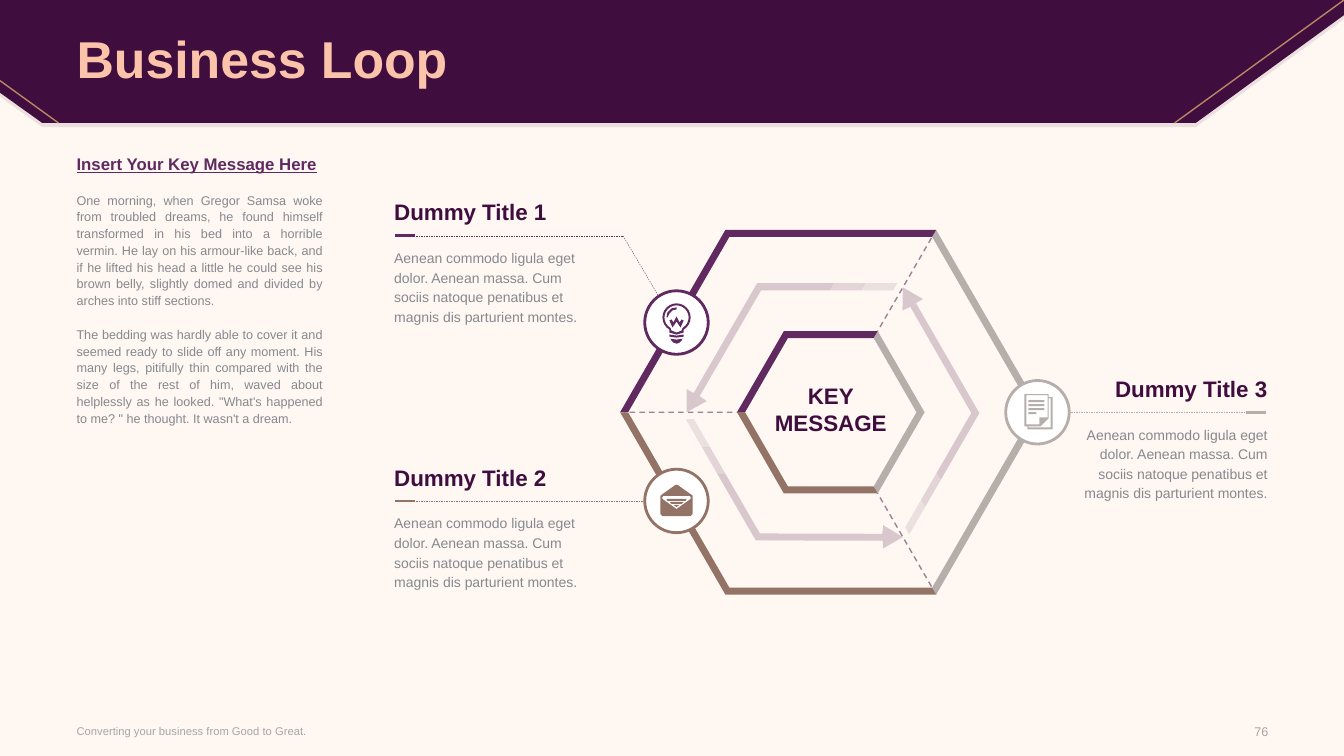
from math import cos, radians, sin
from lxml import etree
from pptx import Presentation
from pptx.dml.color import RGBColor as RGB
from pptx.enum.dml import MSO_LINE as DASH
from pptx.enum.shapes import MSO_CONNECTOR as LINK, MSO_SHAPE as SHAPE
from pptx.enum.text import MSO_ANCHOR as ANCHOR, PP_ALIGN as ALIGN
from pptx.oxml.ns import qn
from pptx.util import Inches, Pt

HUES = {
    "back": "FFF7F2", "dark": "3F0D3E", "plum": "602A60", "brown": "927365",
    "gray": "B6AEAB", "peach": "FBC4AA", "gold": "B98763", "text": "85898F",
    "foot": "A6A6A6", "white": "FFFFFF",
}
HUES = {name: RGB.from_string(code) for name, code in HUES.items()}
FONT = "Arial"
WIDE, HIGH = 13.33, 7.5
EDGE = 0.76
MID_X, MID_Y = 8.24, 4.09

deck = Presentation()
deck.slide_width, deck.slide_height = Inches(WIDE), Inches(HIGH)
slide = deck.slides.add_slide(deck.slide_layouts[5])
slide.background.fill.solid()
slide.background.fill.fore_color.rgb = HUES["back"]
shapes = slide.shapes


def draw(loops, hue, alpha=100):
    """Fill closed outlines, given in inches, as one shape."""
    loops = [[(Inches(x), Inches(y)) for x, y in loop] for loop in loops]
    pen = shapes.build_freeform(*loops[0][0])
    pen.add_line_segments(loops[0][1:])
    for loop in loops[1:]:
        pen.move_to(*loop[0])
        pen.add_line_segments(loop[1:])
    form = pen.convert_to_shape()
    form.shadow.inherit = False
    form.line.fill.background()
    form.fill.solid()
    form.fill.fore_color.rgb = HUES[hue]
    if alpha < 100:
        tint = form._element.spPr.find(".//" + qn("a:srgbClr"))
        etree.SubElement(tint, qn("a:alpha")).set("val", str(alpha * 1000))


def write(box, lines, size, hue, bold=False, align=ALIGN.LEFT, pitch=None,
          anchor=ANCHOR.TOP, gap=0):
    frame = shapes.add_textbox(*map(Inches, box)).text_frame
    frame.word_wrap = True
    frame.vertical_anchor = anchor
    frame.margin_left = frame.margin_right = 0
    frame.margin_top = frame.margin_bottom = 0
    frame.text = "\n".join(lines)
    for para in frame.paragraphs:
        para.alignment = align
        para.space_before = Pt(gap)
        if pitch:
            para.line_spacing = Pt(pitch)
        font = para.font
        font.name, font.size, font.bold = FONT, Pt(size), bold
        font.color.rgb = HUES[hue]
    return frame


# Header
crest = [(0, 0), (WIDE, 0), (WIDE, 0.15), (11.86, 1.22), (0.42, 1.22), (0, 0.92)]
draw([[(x, y + 0.04) for x, y in crest]], "dark", 10)
draw([crest], "dark")

title = shapes.title
title.left, title.top = Inches(EDGE), Inches(0.03)
title.width, title.height = Inches(11.81), Inches(1.17)
frame = title.text_frame
frame.text = "Business Loop"
frame.vertical_anchor = ANCHOR.MIDDLE
frame.margin_left = frame.margin_right = frame.margin_top = frame.margin_bottom = 0
para = frame.paragraphs[0]
para.alignment, para.line_spacing = ALIGN.LEFT, 0.9
para.font.name, para.font.size, para.font.bold = FONT, Pt(37), True
para.font.color.rgb = HUES["peach"]
shapes._spTree.append(title._element)

# Left column and footer
story = [
    "Insert Your Key Message Here",
    "One morning, when Gregor Samsa woke from troubled dreams, he found himself "
    "transformed in his bed into a horrible vermin. He lay on his armour-like back, "
    "and if he lifted his head a little he could see his brown belly, slightly domed "
    "and divided by arches into stiff sections.",
    "The bedding was hardly able to cover it and seemed ready to slide off any "
    "moment. His many legs, pitifully thin compared with the size of the rest of "
    "him, waved about helplessly as he looked. \"What's happened to me? \" he "
    "thought. It wasn't a dream.",
]
frame = write((EDGE, 1.56, 2.44, 5.19), story, 9, "text", align=ALIGN.JUSTIFY,
              pitch=12, gap=12)
head = frame.paragraphs[0]
head.space_before = Pt(0)
head.font.size, head.font.bold, head.font.underline = Pt(12), True, True
head.font.color.rgb = HUES["plum"]
write((EDGE, 7.12, 5.23, 0.26), ["Converting your business from Good to Great."],
      8, "foot", anchor=ANCHOR.MIDDLE)
write((11.95, 7.13, 0.63, 0.26), ["76"], 9, "foot", align=ALIGN.RIGHT,
      anchor=ANCHOR.MIDDLE)

# Corners of nested hexagons: radius -> six points, counted from the right
hexes = {
    r: [(MID_X + r * cos(radians(60 * k)), MID_Y - r * sin(radians(60 * k)))
        for k in range(6)]
    for r in (0.85, 0.88, 0.93, 2.01, 2.05, 2.09)
}

# Lines: start, end, hue, width, dash, opacity
lines = [
    ((WIDE, 0), (11.65, 1.22), "gold", 1, None, 100),
    ((0.58, 1.22), (0, 0.8), "gold", 1, None, 100),
    ((4.08, 4.97), (6.71, 4.97), "brown", 0.25, DASH.DASH, 100),
    ((4.08, 2.34), (6.18, 2.34), "plum", 0.25, DASH.DASH, 100),
    ((6.18, 2.34), (6.68, 3.19), "plum", 0.25, DASH.DASH, 100),
    ((12.4, MID_Y), (10.31, MID_Y), "gray", 0.25, DASH.DASH, 100),
    ((4.12, 2.34), (3.92, 2.34), "plum", 2, None, 100),
    ((4.12, 4.97), (3.92, 4.97), "brown", 2, None, 100),
    ((12.36, MID_Y), (12.56, MID_Y), "gray", 2, None, 100),
]
lines += [(hexes[0.88][k], hexes[2.05][k], "dark", 1, DASH.DASH, 50) for k in (1, 3, 5)]
for start, end, hue, width, dash, alpha in lines:
    link = shapes.add_connector(LINK.STRAIGHT, *map(Inches, start + end))
    link.line.color.rgb = HUES[hue]
    link.line.width = Pt(width)
    if dash:
        link.line.dash_style = dash
    props = link._element.spPr
    if alpha < 100:
        tint = props.find(".//" + qn("a:srgbClr"))
        etree.SubElement(tint, qn("a:alpha")).set("val", str(alpha * 1000))
    etree.SubElement(props, qn("a:effectLst"))

# Each hue spans two sides of both hexagon rings
for first, hue in ((5, "gray"), (1, "plum"), (3, "brown")):
    turn = [(first + k) % 6 for k in range(3)]
    for outer, inner in ((2.09, 2.01), (0.93, 0.85)):
        draw([[hexes[outer][k] for k in turn] + [hexes[inner][k] for k in turn[::-1]]],
             hue)

# One fading arrow, as offsets from the middle with y upward, turned three times
arrow = {
    20: [(-0.01, 1.21), (-0.69, 1.21), (-1.3, 0.16), (-1.23, 0.11), (-1.43, 0),
         (-1.43, 0.23), (-1.36, 0.19), (-0.73, 1.28), (0.03, 1.28)],
    15: [(0.34, 1.28), (0.3, 1.21), (-0.01, 1.21), (0.03, 1.28)],
    10: [(0.66, 1.28), (0.62, 1.21), (0.3, 1.21), (0.34, 1.28)],
}
for angle in (0, 120, 240):
    c, s = cos(radians(angle)), sin(radians(angle))
    for alpha, pts in arrow.items():
        draw([[(MID_X + x * c - y * s, MID_Y - x * s - y * c) for x, y in pts]],
             "dark", alpha)

write((7.49, 3.79, 1.5, 0.54), ["KEY", "MESSAGE"], 16, "dark", True, ALIGN.CENTER)

# Icons, as offsets from the badge middle with y downward
bulb = [
    [(r * cos(radians(a)), r * sin(radians(a)) - 0.05) for a in range(60, -241, -15)]
    + [(-x, y), (0, y + 0.02), (x, y)]
    for r, x, y in ((0.14, 0.07, 0.1), (0.12, 0.05, 0.08))
] + [
    [(0.03, 0), (0, -0.06), (-0.03, 0), (-0.05, -0.03), (-0.07, -0.02),
     (-0.04, 0.05), (0, -0.01), (0.04, 0.05), (0.07, -0.02), (0.05, -0.03)],
    [(-0.1, -0.05), (-0.09, -0.1), (-0.05, -0.14), (0, -0.15), (0, -0.13),
     (-0.04, -0.12), (-0.07, -0.09), (-0.09, -0.05)],
    [(-0.07, 0.12), (0, 0.13), (0.07, 0.12), (0.07, 0.14), (0, 0.15), (-0.07, 0.14)],
    [(-0.06, 0.16), (0, 0.17), (0.06, 0.16), (0.05, 0.18), (0.03, 0.2), (0, 0.21),
     (-0.03, 0.2), (-0.05, 0.18)],
]
mail = [
    [(0.01, -0.16), (0.15, -0.06), (0.16, -0.05), (0.16, 0.13), (0.14, 0.15),
     (-0.14, 0.15), (-0.16, 0.13), (-0.16, -0.05), (-0.15, -0.06), (-0.01, -0.16)],
    [(0.14, -0.02), (0, 0.08), (-0.14, -0.02), (-0.14, -0.04), (-0.13, -0.05),
     (0.13, -0.05), (0.14, -0.04)],
    [(-0.1, -0.02), (0.1, -0.02), (0.09, 0), (-0.09, 0)],
    [(-0.07, 0.01), (0.07, 0.01), (0.05, 0.03), (-0.05, 0.03)],
    [(-0.03, 0.04), (0.03, 0.04), (0, 0.06)],
]
page = [
    [(0.11, -0.15), (0.11, -0.18), (-0.13, -0.18), (-0.13, 0.14), (-0.1, 0.14),
     (-0.1, 0.17), (0.15, 0.17), (0.15, -0.15)],
    [(-0.11, 0.12), (-0.11, -0.17), (0.1, -0.17), (0.1, 0.05), (0.02, 0.05), (0.02, 0.12)],
    [(0.13, 0.15), (-0.09, 0.15), (-0.09, 0.14), (0.03, 0.14), (0.11, 0.06),
     (0.11, -0.14), (0.13, -0.14)],
] + [
    [(-0.09, y), (x, y), (x, y + 0.02), (-0.09, y + 0.02)]
    for x, y in ((0.07, -0.12), (0.07, -0.08), (0.07, -0.04), (-0.01, 0))
]

# Topics: number, text left, rule height, alignment, badge middle, hue, icon
size = 0.63
blurb = ("Aenean commodo ligula eget dolor. Aenean massa. Cum sociis natoque "
         "penatibus et magnis dis parturient montes.")
topics = [
    (1, 3.91, 2.34, ALIGN.LEFT, (6.71, 3.2), "plum", bulb),
    (2, 3.91, 4.97, ALIGN.LEFT, (6.71, 4.97), "brown", mail),
    (3, 10.53, MID_Y, ALIGN.RIGHT, (10.29, MID_Y), "gray", page),
]
for num, left, rule, align, (x, y), hue, icon in topics:
    write((left, rule - 0.37, 2.04, 0.27), [f"Dummy Title {num}"], 16, "dark", True, align)
    write((left, rule + 0.11, 2.04, 0.79), [blurb], 10, "text", align=align, pitch=14)
    badge = shapes.add_shape(
        SHAPE.OVAL, *map(Inches, (x - size / 2, y - size / 2, size, size)))
    badge.shadow.inherit = False
    badge.fill.solid()
    badge.fill.fore_color.rgb = HUES["white"]
    badge.line.color.rgb = HUES[hue]
    badge.line.width = Pt(2)
    draw([[(x + dx, y + dy) for dx, dy in loop] for loop in icon], hue)

deck.save("out.pptx")
